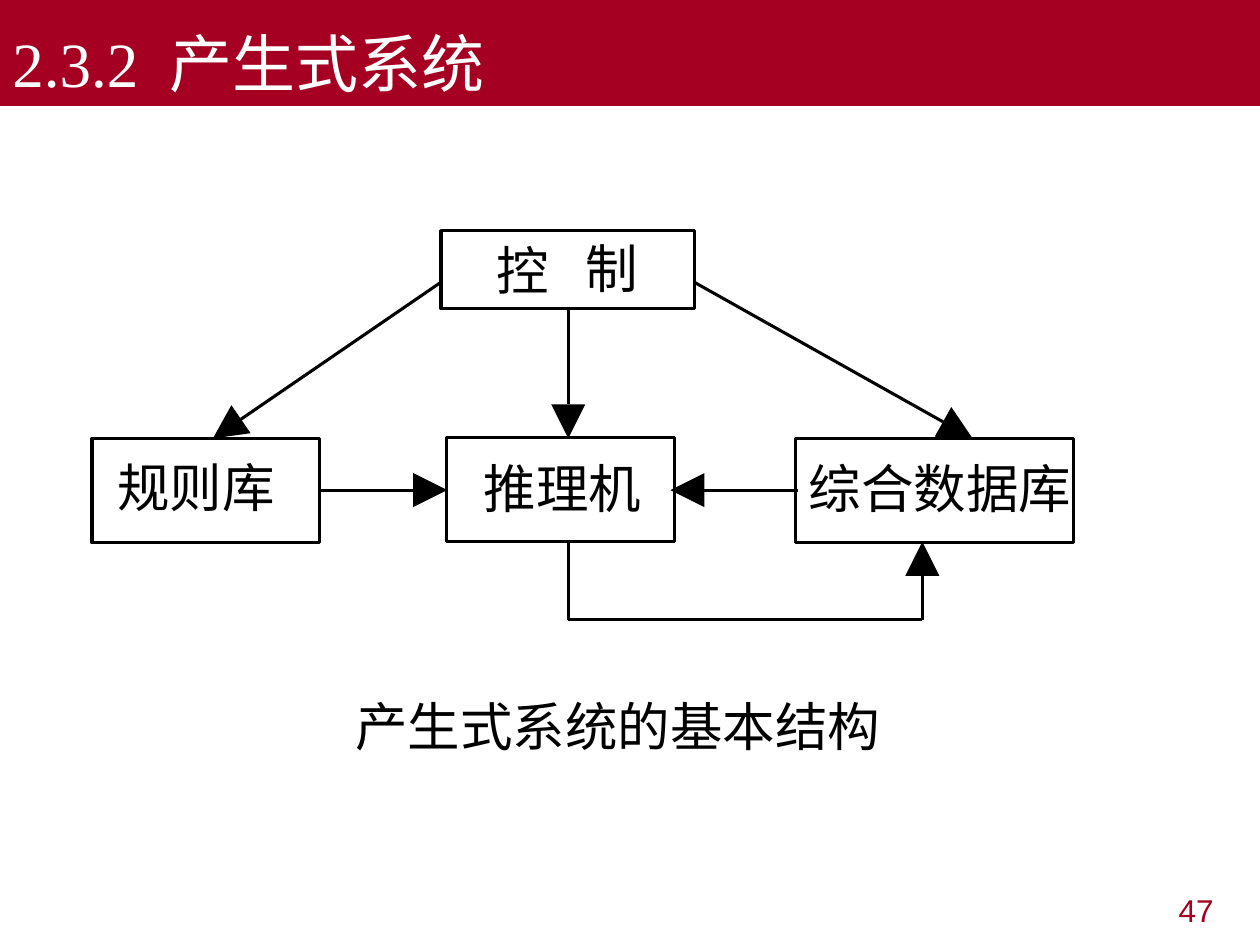
import math

from lxml import etree
from pptx import Presentation
from pptx import util as u
from pptx.dml.color import RGBColor
from pptx.enum import shapes, text
from pptx.oxml.ns import qn

RED, BLACK, WHITE = "A50021", "000000", "FFFFFF"
CJK = "Noto Sans CJK SC"
LINE_WIDTH = 1.75
HEAD_LENGTH, HEAD_WIDTH = 0.27, 0.27

# left, top, width, height
BOXES = {
    "control": (3.5, 1.83, 2.01, 0.62),
    "rules": (0.73, 3.48, 1.81, 0.83),
    "engine": (3.54, 3.47, 1.81, 0.83),
    "database": (6.31, 3.48, 2.21, 0.83),
}
# words, left, top, width
LABELS = [
    ("控", 3.94, 1.89, 0.42),
    ("制", 4.65, 1.87, 0.42),
    ("规则库", 0.93, 3.61, 1.26),
    ("推理机", 3.84, 3.62, 1.26),
    ("综合数据库", 6.42, 3.62, 2.1),
    ("产生式系统的基本结构", 2.82, 5.51, 4.18),
]
# points on the way; the arrowhead ends at the last one
ROUTES = [
    [(4.51, 2.45), (4.51, 3.48)],
    [(3.5, 2.24), (1.69, 3.48)],
    [(5.51, 2.24), (7.72, 3.48)],
    [(2.54, 3.89), (3.55, 3.89)],
    [(6.33, 3.89), (5.32, 3.89)],
    [(4.51, 4.3), (4.51, 4.92), (7.32, 4.92), (7.32, 4.3)],
]


def color(hex_string):
    return RGBColor.from_string(hex_string)


def write(shape, words, size, font, hex_color, align=text.PP_ALIGN.LEFT):
    paragraph = shape.text_frame.paragraphs[0]
    paragraph.alignment = align
    run = paragraph.add_run()
    run.text = words
    run.font.size = u.Pt(size)
    run.font.name = font
    run.font.color.rgb = color(hex_color)
    east_asian = etree.SubElement(run._r.get_or_add_rPr(), qn("a:ea"))
    east_asian.set("typeface", CJK)


def add_rectangle(slide, box, fill=None, line=None):
    shape = slide.shapes.add_shape(
        shapes.MSO_SHAPE.RECTANGLE, *map(u.Inches, box))
    shape.shadow.inherit = False
    if fill:
        shape.fill.solid()
        shape.fill.fore_color.rgb = color(fill)
    else:
        shape.fill.background()
    if line:
        shape.line.color.rgb = color(line)
        shape.line.width = u.Pt(LINE_WIDTH)
    else:
        shape.line.fill.background()
    return shape


def add_label(slide, words, left, top, width):
    label = slide.shapes.add_textbox(*map(u.Inches, (left, top, width, 0.5)))
    frame = label.text_frame
    frame.margin_left = frame.margin_right = 0
    frame.margin_top = frame.margin_bottom = 0
    frame.word_wrap = False
    frame.auto_size = text.MSO_AUTO_SIZE.SHAPE_TO_FIT_TEXT
    write(label, words, 30, CJK, BLACK)


def add_line(slide, start, end):
    line = slide.shapes.add_connector(
        shapes.MSO_CONNECTOR.STRAIGHT, *map(u.Inches, (*start, *end)))
    line.line.color.rgb = color(BLACK)
    line.line.width = u.Pt(LINE_WIDTH)
    etree.SubElement(line._element.spPr, qn("a:effectLst"))


def add_head(slide, base, tip):
    """Draw a solid triangle from the middle of its base to its tip."""
    angle = math.atan2(tip[1] - base[1], tip[0] - base[0])
    side_x = -math.sin(angle) * HEAD_WIDTH / 2
    side_y = math.cos(angle) * HEAD_WIDTH / 2
    corners = [(base[0] + side_x, base[1] + side_y), tip,
               (base[0] - side_x, base[1] - side_y)]
    points = [(u.Inches(x), u.Inches(y)) for x, y in corners]
    builder = slide.shapes.build_freeform(*points[0])
    builder.add_line_segments(points[1:], close=True)
    head = builder.convert_to_shape()
    head.shadow.inherit = False
    head.fill.solid()
    head.fill.fore_color.rgb = color(BLACK)
    head.line.fill.background()


def add_route(slide, points):
    *corners, tip = points
    last = corners[-1]
    share = HEAD_LENGTH / math.dist(last, tip)
    base = tuple(t + (s - t) * share for s, t in zip(last, tip))
    stops = corners + [base]
    for start, end in zip(stops, stops[1:]):
        add_line(slide, start, end)
    add_head(slide, base, tip)


def main():
    presentation = Presentation()
    presentation.slide_width = u.Inches(10)
    presentation.slide_height = u.Inches(7.5)
    slide = presentation.slides.add_slide(presentation.slide_layouts[6])

    title = add_rectangle(slide, (0, 0, 10, 0.84), fill=RED)
    title.text_frame.vertical_anchor = text.MSO_ANCHOR.BOTTOM
    title.text_frame.word_wrap = True
    write(title, "2.3.2  产生式系统", 36, "Times New Roman", WHITE)

    for box in BOXES.values():
        add_rectangle(slide, box, line=BLACK)
    for label in LABELS:
        add_label(slide, *label)
    for route in ROUTES:
        add_route(slide, route)

    number = slide.shapes.add_textbox(*map(u.Inches, (7.4, 7.02, 2.33, 0.52)))
    number.text_frame.word_wrap = True
    write(number, "47", 18, "Arial", RED, text.PP_ALIGN.RIGHT)

    presentation.save("out.pptx")


if __name__ == "__main__":
    main()
